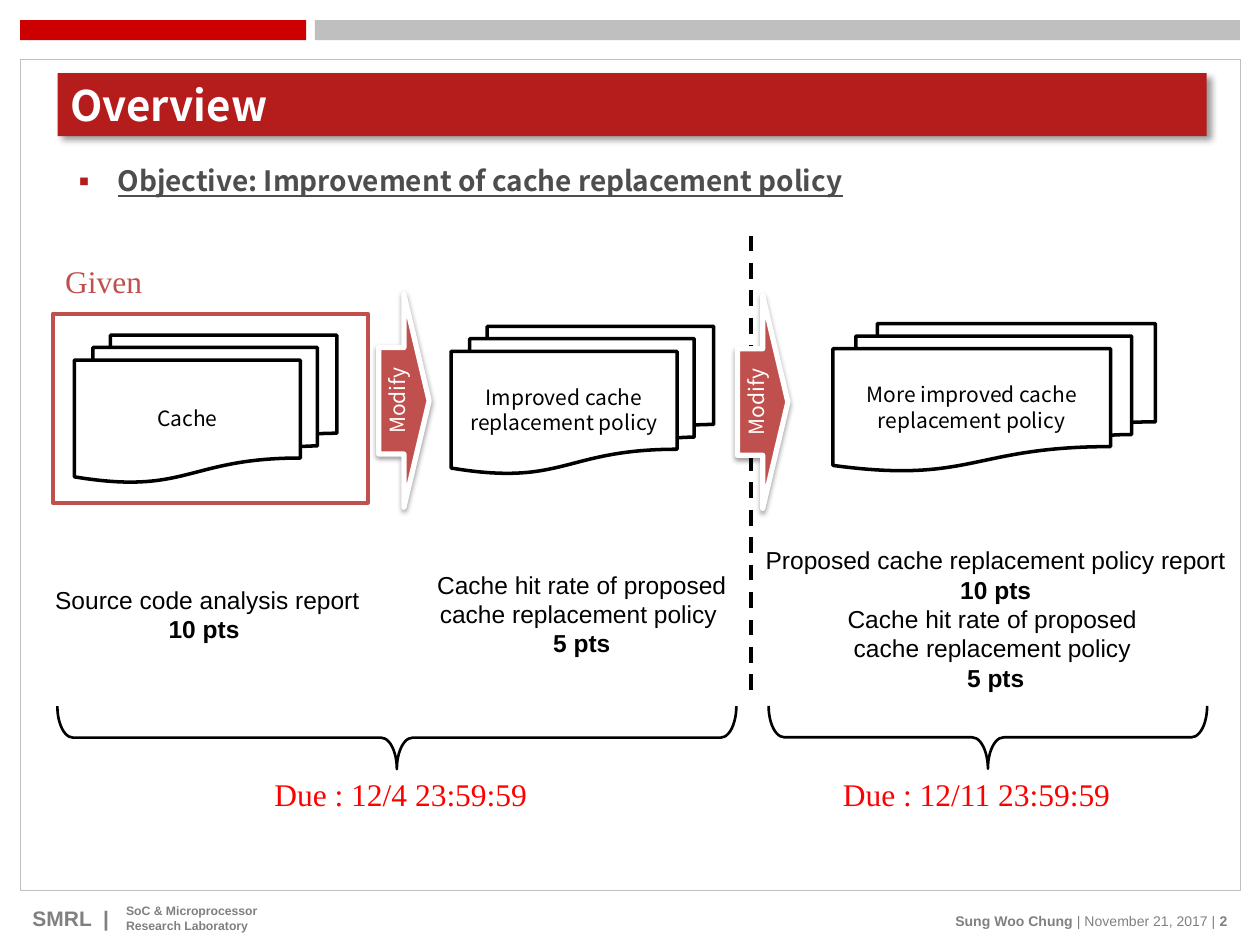
from lxml import etree
from pptx import Presentation
from pptx.dml.color import RGBColor
from pptx.enum import dml, shapes, text
from pptx.oxml import ns
from pptx.util import Pt

WHITE, BLACK = RGBColor(255, 255, 255), RGBColor(0, 0, 0)
SILVER, GRAY, DARK = (RGBColor(v, v, v) for v in (0xBF, 0x80, 0x4D))
RED, CRIMSON = RGBColor(0xCC, 0, 0), RGBColor(0xB5, 0x1D, 0x1D)
BRICK, BRIGHT = RGBColor(0xC0, 0x50, 0x4D), RGBColor(255, 0, 0)
SANS, PLAIN, SERIF = "Noto Sans CJK KR", "Arial", "Times New Roman"
KIND, ALIGN, ANCHOR = shapes.MSO_SHAPE, text.PP_ALIGN, text.MSO_ANCHOR

# Text formats
HEADING = dict(name=SANS, size=Pt(24), bold=True, color=WHITE)
OBJECTIVE = dict(name=SANS, size=Pt(16), bold=True, underline=True, color=DARK)
CAPTION = dict(name=PLAIN, size=Pt(14), color=BLACK)
STAGE = dict(name=SANS, size=Pt(12), color=BLACK)
MODIFY = dict(name=SANS, size=Pt(12), color=WHITE)
GIVEN = dict(name=SERIF, size=Pt(18), color=BRICK)
DUE = dict(name=SERIF, size=Pt(18), color=BRIGHT)
DATE = dict(name=PLAIN, size=Pt(8), color=GRAY)
LAB = dict(name=PLAIN, size=Pt(7), color=GRAY)
GROUP = dict(name=PLAIN, size=Pt(12), color=GRAY)

# Content: a paragraph is a list of (words, bold); places are left, top, width, height
TITLE = ("Overview", (33, 41.8, 656.6, 36))
BODY = ("Objective: Improvement of cache replacement policy", (33, 90, 656.6, 31.7))
BACKDROP = [
    ((180, 11.5, 528.5, 11.5), SILVER, None),
    ((11.5, 11.5, 163.5, 11.5), RED, None),
    ((11.5, 34, 697.5, 474.5), WHITE, SILVER),
]
STAGES = [
    ("Cache", (42.5, 191.5, 150, 84.2)),
    ("Improved cache replacement policy", (257.8, 186.5, 150, 84.2)),
    ("More improved cache replacement policy", (476, 185, 184.3, 84.2)),
]
GIVEN_FRAME = (30.2, 179.3, 180, 108)
DIVIDER = (429, 134.6, 400.3)  # x, top, bottom
ARROWS = [(170, 214.6, 121.7, 28.8), (375, 215.3, 121.7, 28.8)]
BRACES = [(208.8, 227.5, 36, 388), (546.5, 296, 36, 250.6)]
LABELS = [
    ((473, 517.7, 235.5, 18), DATE, ALIGN.RIGHT,
     [[("Sung Woo Chung ", True), ("| November 21, 2017 | ", False), ("2", True)]]),
    ((11.5, 514, 64, 22), GROUP, ALIGN.LEFT, [[("SMRL  |", True)]]),
    ((65, 512.6, 124.5, 22), LAB, ALIGN.LEFT,
     [[("SoC & Microprocessor", True)], [("Research Laboratory", True)]]),
    ((30.2, 146.2, 67.7, 28.8), GIVEN, ALIGN.LEFT, [[("Given", False)]]),
    ((18.7, 330.5, 195.8, 41), CAPTION, ALIGN.CENTER,
     [[(" Source code analysis report ", False), ("10 pts", True)]]),
    ((226, 322, 213, 58), CAPTION, ALIGN.CENTER,
     [[("Cache hit rate of proposed cache replacement policy ", False)],
      [("5 pts", True)]]),
    ((430, 308, 278, 92), CAPTION, ALIGN.CENTER,
     [[("Proposed cache replacement policy report ", False)],
      [("10 pts", True)],
      [("Cache hit rate of proposed \ncache replacement policy ", False)],
      [("5 pts", True)]]),
    ((121.7, 439.2, 214.6, 28.8), DUE, ALIGN.CENTER, [[("Due : 12/4 23:59:59", False)]]),
    ((450.7, 439.2, 214.6, 28.8), DUE, ALIGN.CENTER, [[("Due : 12/11 23:59:59", False)]]),
]


def points(place):
    return [Pt(value) for value in place]


def set_values(target, values):
    for key, value in values.items():
        setattr(target, key, value)


def write(box, paragraphs, style, align, anchor=ANCHOR.TOP):
    frame = box.text_frame
    set_values(frame, dict(word_wrap=True, vertical_anchor=anchor,
                           auto_size=text.MSO_AUTO_SIZE.NONE))
    for index, spans in enumerate(paragraphs):
        para = frame.add_paragraph() if index else frame.paragraphs[0]
        set_values(para, dict(alignment=align, space_before=Pt(0)))
        for words, bold in spans:
            for number, line in enumerate(words.split("\n")):
                if number:
                    para.add_line_break()
                span = para.add_run()
                span.text = line
                font = {"bold": bold, **style}
                span.font.color.rgb = font.pop("color")
                set_values(span.font, font)


def add_figure(page, kind, place, fill=None, line=None, width=0.25):
    figure = page.shapes.add_shape(kind, *points(place))
    figure.shadow.inherit = False
    if fill is None:
        figure.fill.background()
    else:
        figure.fill.solid()
        figure.fill.fore_color.rgb = fill
    if line is None:
        figure.line.fill.background()
    else:
        figure.line.color.rgb = line
        figure.line.width = Pt(width)
    return figure


def cast_shadow(shape, opacity, blur, distance, angle):
    shape.shadow.inherit = False
    effects = shape.element.spPr.find(ns.qn("a:effectLst"))
    shadow = etree.SubElement(effects, ns.qn("a:outerShdw"), blurRad=str(Pt(blur)),
                              dist=str(Pt(distance)), dir=str(angle * 60000),
                              algn="t", rotWithShape="0")
    color = etree.SubElement(shadow, ns.qn("a:srgbClr"), val=str(BLACK))
    etree.SubElement(color, ns.qn("a:alpha"), val=str(opacity * 1000))


def add_bullet(para, mark, color, indent):
    props = para._p.get_or_add_pPr()
    props.set("marL", str(Pt(indent)))
    props.set("indent", str(-Pt(indent)))
    holder = etree.SubElement(props, ns.qn("a:buClr"))
    etree.SubElement(holder, ns.qn("a:srgbClr"), val=str(color))
    etree.SubElement(props, ns.qn("a:buFont"), typeface=SANS)
    etree.SubElement(props, ns.qn("a:buChar"), char=mark)


def fill_placeholder(box, content, style, anchor):
    words, place = content
    set_values(box, dict(zip(("left", "top", "width", "height"), points(place))))
    write(box, [[(words, True)]], style, ALIGN.LEFT, anchor)


def add_divider(page):
    x, top, bottom = points(DIVIDER)
    divider = page.shapes.add_connector(shapes.MSO_CONNECTOR.STRAIGHT, x, top, x, bottom)
    divider.line.color.rgb = BLACK
    set_values(divider.line, dict(width=Pt(2.25), dash_style=dml.MSO_LINE.DASH))
    etree.SubElement(divider.element.spPr, ns.qn("a:effectLst"))


def main():
    deck = Presentation()
    set_values(deck, dict(slide_width=Pt(720), slide_height=Pt(540)))
    page = deck.slides.add_slide(deck.slide_layouts[1])
    title, body = page.placeholders

    for place, fill, line in BACKDROP:
        panel = add_figure(page, KIND.RECTANGLE, place, fill, line)
        title.element.addprevious(panel.element)  # keep panels behind the title

    fill_placeholder(title, TITLE, HEADING, ANCHOR.MIDDLE)
    title.fill.solid()
    title.fill.fore_color.rgb = CRIMSON
    cast_shadow(title, 40, 4, 3, 45)
    fill_placeholder(body, BODY, OBJECTIVE, ANCHOR.TOP)
    add_bullet(body.text_frame.paragraphs[0], "▪", CRIMSON, 27)

    add_divider(page)
    for words, place in STAGES:
        stage = add_figure(page, KIND.FLOWCHART_MULTIDOCUMENT, place, WHITE, BLACK, 2)
        write(stage, [[(words, False)]], STAGE, ALIGN.CENTER, ANCHOR.MIDDLE)
    add_figure(page, KIND.FLOWCHART_PROCESS, GIVEN_FRAME, None, BRICK, 2.25)
    for place, style, align, paragraphs in LABELS:
        write(page.shapes.add_textbox(*points(place)), paragraphs, style, align)
    for place in ARROWS:
        arrow = add_figure(page, KIND.DOWN_ARROW, place, BRICK, WHITE, 3)
        arrow.rotation = 270
        cast_shadow(arrow, 38, 3.1, 1.6, 90)
        write(arrow, [[("Modify", False)]], MODIFY, ALIGN.CENTER)
    for place in BRACES:
        brace = add_figure(page, KIND.LEFT_BRACE, place, None, BLACK, 1.5)
        brace.rotation = 270
        brace.adjustments[0] = 0.25
    deck.save("out.pptx")


if __name__ == "__main__":
    main()
